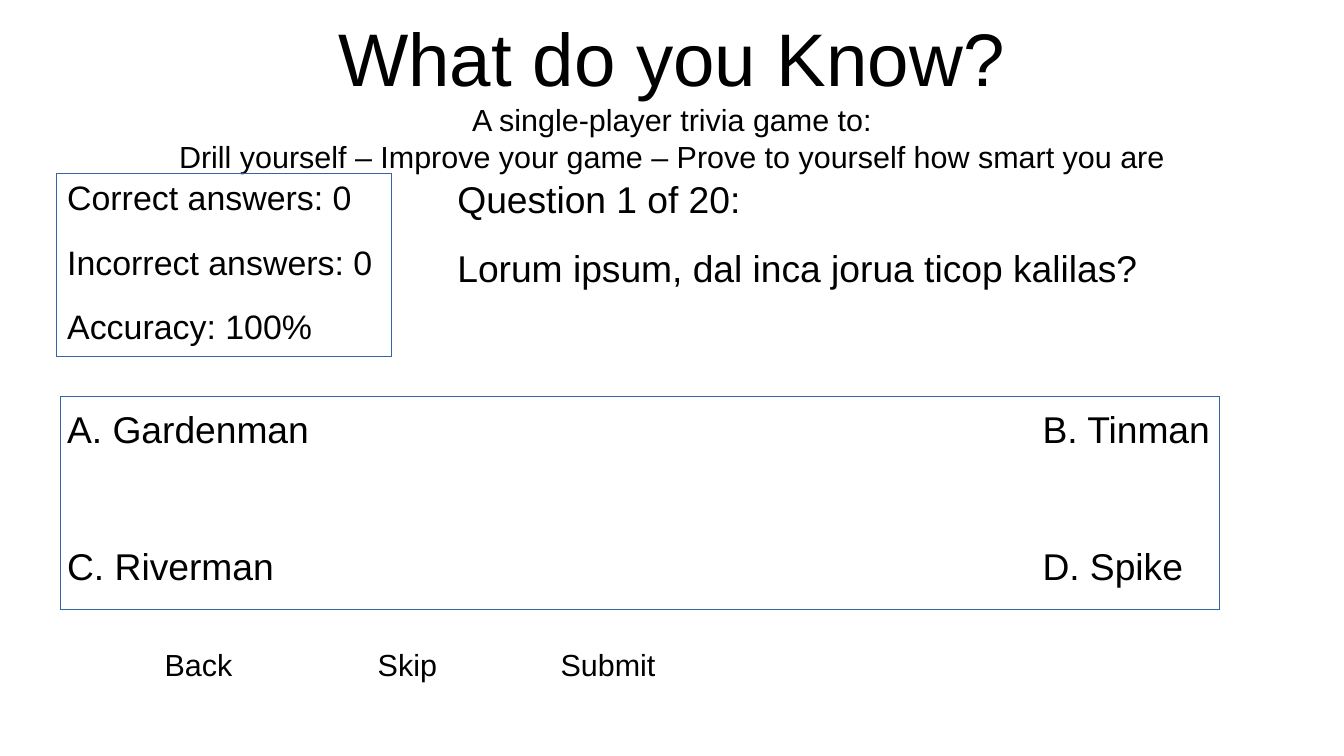
from dataclasses import dataclass

from lxml.etree import SubElement
from pptx import Presentation
from pptx.dml.color import RGBColor
from pptx.enum.shapes import MSO_SHAPE as Preset
from pptx.enum.text import MSO_ANCHOR as Anchor, PP_ALIGN as Align
from pptx.oxml.ns import qn
from pptx.util import Cm, Pt


@dataclass(frozen=True)
class Theme:
    """Colours, font and type sizes of the slide."""
    font: str = "Arial"
    ink: RGBColor = RGBColor(0x00, 0x00, 0x00)
    outline: RGBColor = RGBColor(0x34, 0x65, 0xA4)
    hairline: float = 0.01
    title: float = 44
    large: float = 22
    score: float = 20
    small: float = 18
    gap: float = 14.2


@dataclass(frozen=True)
class Box:
    """A rectangle in centimetres."""
    left: float
    top: float
    width: float
    height: float

    def lengths(self):
        """Return the four sides as slide lengths."""
        return Cm(self.left), Cm(self.top), Cm(self.width), Cm(self.height)


THEME = Theme()


def style(para, size):
    """Give every run of a paragraph the theme's font and ink."""
    for run in para.runs:
        run.font.name = THEME.font
        run.font.size = Pt(size)
        run.font.color.rgb = THEME.ink


def set_margins(frame, across, down):
    """Set the side margins and the top and bottom margins of a text frame."""
    frame.margin_left = frame.margin_right = Cm(across)
    frame.margin_top = frame.margin_bottom = Cm(down)


def add_text(page, box, lines, size, gap=THEME.gap, across=0, down=0):
    """Add a wrapped text box with one paragraph per line."""
    frame = page.shapes.add_textbox(*box.lengths()).text_frame
    frame.word_wrap = True
    set_margins(frame, across, down)
    frame.text = "\n".join(lines)
    for para in frame.paragraphs:
        para.space_before = Pt(gap)
        style(para, size)
    return frame


def add_outline(page, box):
    """Add an unfilled rectangle with a hairline border."""
    shape = page.shapes.add_shape(Preset.RECTANGLE, *box.lengths())
    shape.shadow.inherit = False
    shape.fill.background()
    shape.line.color.rgb = THEME.outline
    shape.line.width = Pt(THEME.hairline)


def add_heading(page, box):
    """Fill the title placeholder with the game's name and tagline."""
    title = page.shapes.title
    title.left, title.top, title.width, title.height = box.lengths()
    frame = title.text_frame
    frame.word_wrap = True
    frame.vertical_anchor = Anchor.MIDDLE
    set_margins(frame, 0, 0)
    frame.text = ("What do you Know?\nA single-player trivia game to:\n"
                  "Drill yourself – Improve your game – Prove to yourself how smart you are")
    for index, para in enumerate(frame.paragraphs):
        para.alignment = Align.CENTER
        style(para, THEME.small if index else THEME.title)


def add_scores(page, box):
    """Add the outlined running score."""
    lines = ["Correct answers: 0", "Incorrect answers: 0", "Accuracy: 100%"]
    add_text(page, box, lines, THEME.score)
    add_outline(page, Box(box.left - 0.23, box.top - 0.07, 6.99, 3.81))


def add_question(page, box):
    """Add the question number and its wording."""
    lines = ["Question 1 of 20:", "Lorum ipsum, dal inca jorua ticop kalilas?"]
    add_text(page, box, lines, THEME.large)


def add_answers(page, box):
    """Add the outlined answers in two columns set by a tab stop."""
    lines = ["A. Gardenman\tB. Tinman", "C. Riverman\tD. Spike"]
    frame = add_text(page, box, lines, THEME.large, gap=54.5)
    for para in frame.paragraphs:
        stops = SubElement(para._p.get_or_add_pPr(), qn("a:tabLst"))
        SubElement(stops, qn("a:tab"), pos=str(Cm(20.32)), algn="l")
    add_outline(page, Box(box.left - 0.13, box.top - 0.2, 24.13, 4.45))


def add_buttons(page, box):
    """Add the row of button labels."""
    for label, offset in (("Back", 0), ("Skip", 4.44), ("Submit", 8.25)):
        place = Box(box.left + offset, box.top, 3.18, box.height)
        add_text(page, place, [label], THEME.small, gap=0, across=0.25, down=0.13)


def main():
    """Build the trivia game slide."""
    deck = Presentation()
    deck.slide_width, deck.slide_height = Cm(28), Cm(15.75)
    page = deck.slides.add_slide(deck.slide_layouts[5])
    add_heading(page, Box(1.4, 0.36, 25.2, 3.15))
    add_scores(page, Box(1.4, 3.68, 7.49, 4.34))
    add_question(page, Box(9.53, 3.68, 17.09, 4.34))
    add_answers(page, Box(1.4, 8.46, 25.2, 4.34))
    add_buttons(page, Box(3.18, 13.34, 11.43, 0.97))
    deck.save("out.pptx")


if __name__ == "__main__":
    main()
